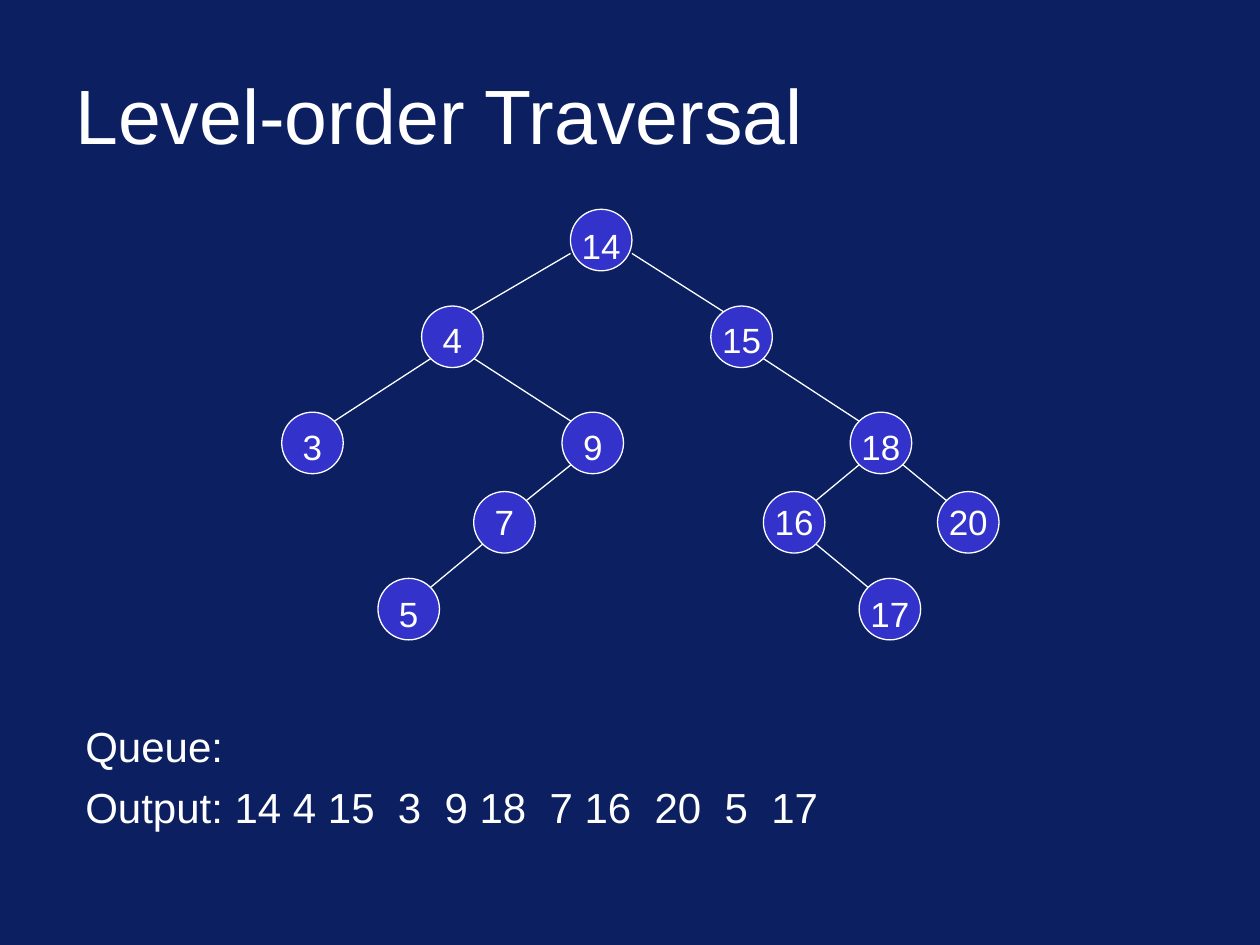
from lxml import etree
from pptx import Presentation
from pptx.dml.color import RGBColor
from pptx.enum import shapes, text
from pptx.oxml import ns
from pptx.util import Cm, Pt

NAVY = RGBColor(0x0B, 0x1F, 0x61)
BLUE = RGBColor(0x33, 0x33, 0xCC)
WHITE = RGBColor(0xFF, 0xFF, 0xFF)

DIAM = 1.24
RAD = DIAM / 2
EDGE = 0.44  # where edges meet a circle, across and down from its centre

# Each level: top of its circles, drop of its labels
LEVELS = [(4.22, 0.18), (6.17, 0.13), (8.31, 0.15), (9.91, 0.05), (11.66, 0.15)]

# Each node: level, left of its circle, parent
NODES = {
    14: (0, 11.5, None),
    4: (1, 8.5, 14),
    15: (1, 14.33, 14),
    3: (2, 5.68, 4),
    9: (2, 11.33, 4),
    18: (2, 17.14, 15),
    7: (3, 9.55, 9),
    16: (3, 15.39, 18),
    20: (3, 18.9, 18),
    5: (4, 7.62, 7),
    17: (4, 17.32, 16),
}

prs = Presentation()
prs.slide_width, prs.slide_height = Cm(25.4), Cm(19.05)
slide = prs.slides.add_slide(prs.slide_layouts[6])
slide.background.fill.solid()
slide.background.fill.fore_color.rgb = NAVY


def write(lines, left, top, width, height, size, align=text.PP_ALIGN.LEFT,
          anchor=text.MSO_ANCHOR.TOP, gap=0):
    box = slide.shapes.add_textbox(Cm(left), Cm(top), Cm(width), Cm(height))
    frame = box.text_frame
    frame.word_wrap = True
    frame.vertical_anchor = anchor
    frame.text = "\n".join(lines)
    for i, para in enumerate(frame.paragraphs):
        para.alignment = align
        para.space_before = Pt(gap if i else 0)
        para.font.name = "Arial"
        para.font.size = Pt(size)
        para.font.color.rgb = WHITE


write(["Level-order Traversal"], 1.27, 1.02, 22.86, 2.54, 44,
      anchor=text.MSO_ANCHOR.MIDDLE)
write(["Queue:", "Output: 14 4 15  3  9 18  7 16  20  5  17"],
      1.47, 14.4, 22.86, 2.54, 24, gap=6)

for level, left, parent in NODES.values():
    if parent is None:
        continue
    up, start, _ = NODES[parent]
    side = 1 if left > start else -1
    # Edges from the root leave its sides and land nearer the child's centre
    out, down, land = (RAD, 0.27, 0.26) if up == 0 else (EDGE, EDGE, EDGE)
    line = slide.shapes.add_connector(
        shapes.MSO_CONNECTOR.STRAIGHT,
        Cm(start + RAD + side * out), Cm(LEVELS[up][0] + RAD + down),
        Cm(left + RAD - side * land), Cm(LEVELS[level][0] + RAD - EDGE))
    line.line.color.rgb = WHITE
    line.line.width = Pt(0.75)
    etree.SubElement(line._element.spPr, ns.qn("a:effectLst"))

for value, (level, left, _) in NODES.items():
    top, drop = LEVELS[level]
    node = slide.shapes.add_shape(shapes.MSO_SHAPE.OVAL, Cm(left), Cm(top),
                                  Cm(DIAM), Cm(DIAM))
    node.shadow.inherit = False
    node.fill.solid()
    node.fill.fore_color.rgb = BLUE
    node.line.color.rgb = WHITE
    node.line.width = Pt(0.75)
    write([str(value)], left - 0.18, top + drop, 1.6, 1.12, 20,
          align=text.PP_ALIGN.CENTER)

prs.save("out.pptx")
